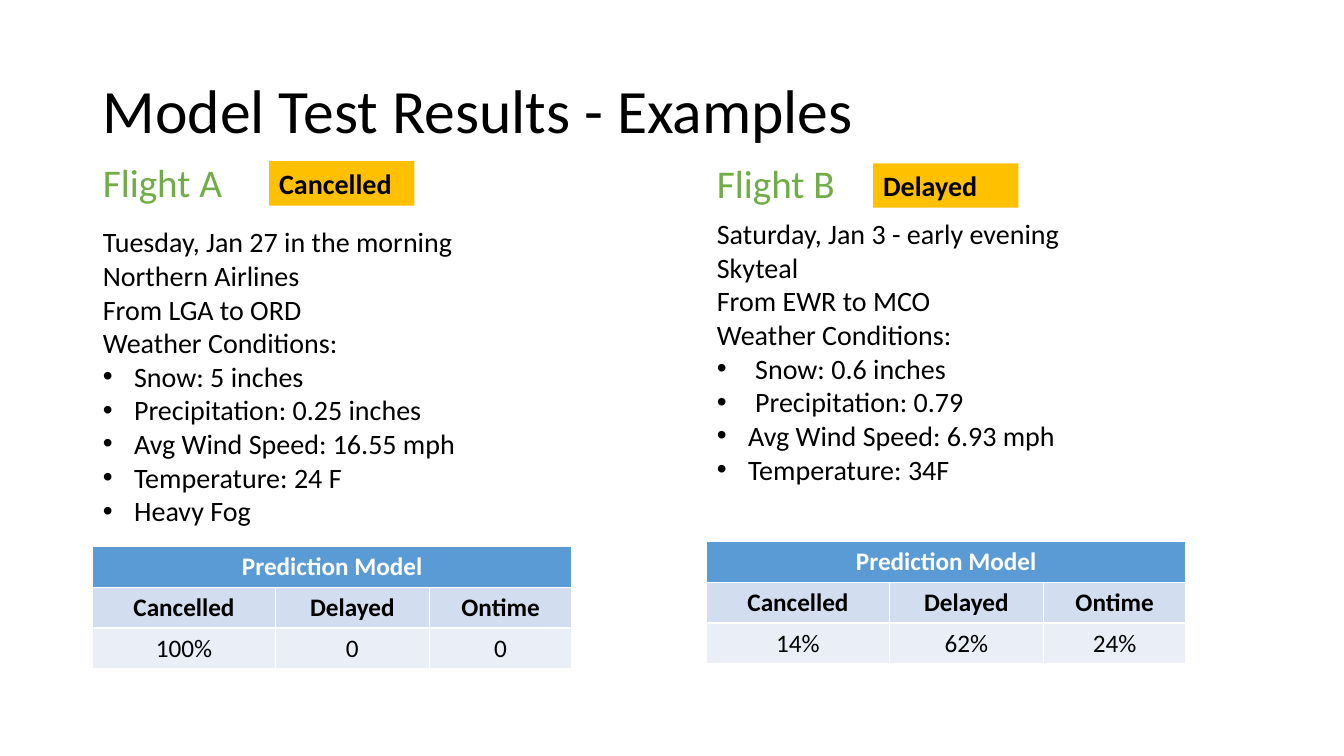
from dataclasses import dataclass

import pptx
import pptx.dml.color
import pptx.enum.shapes
import pptx.enum.text
import pptx.oxml.ns
import pptx.util
from lxml import etree

PX = 9144  # 100 px to the inch
FONT = "Calibri"
COLORS = {
    "black": "000000", "white": "FFFFFF", "green": "70AD47", "amber": "FFC000",
    "header": "5B9BD5", "labels": "D2DEEF", "values": "EAEFF7",
}
COLUMN_WIDTHS = (181, 153, 141)
ROW_HEIGHT = 40
LABELS = ("Cancelled", "Delayed", "Ontime")
LEFT, TOP = pptx.enum.text.PP_ALIGN.LEFT, pptx.enum.text.MSO_ANCHOR.TOP
CENTER, MIDDLE = pptx.enum.text.PP_ALIGN.CENTER, pptx.enum.text.MSO_ANCHOR.MIDDLE


@dataclass(frozen=True)
class Box:
    left: int
    top: int
    width: int
    height: int

    def emu(self) -> list[int]:
        return [side * PX for side in (self.left, self.top, self.width, self.height)]


@dataclass(frozen=True)
class Line:
    text: str
    indent: int = 0  # a bullet hangs in any indent above zero


@dataclass(frozen=True)
class Flight:
    name: str
    outcome: str
    heading_box: Box
    badge_box: Box
    details_box: Box
    table_box: Box
    details: tuple[Line, ...]
    chances: tuple[str, str, str]


FLIGHTS = (
    Flight(
        "Flight A", "Cancelled",
        Box(92, 152, 406, 57), Box(267, 160, 144, 44),
        Box(92, 218, 434, 313), Box(92, 542, 475, 120),
        (
            Line("Tuesday, Jan 27 in the morning"),
            Line("Northern Airlines"),
            Line("From LGA to ORD"),
            Line("Weather Conditions:"),
            Line("Snow: 5 inches", 31),
            Line("Precipitation: 0.25 inches", 31),
            Line("Avg Wind Speed: 16.55 mph", 31),
            Line("Temperature: 24 F", 31),
            Line("Heavy Fog", 31),
        ),
        ("100%", "0", "0"),
    ),
    Flight(
        "Flight B", "Delayed",
        Box(701, 153, 422, 57), Box(866, 162, 144, 44),
        Box(701, 210, 582, 279), Box(701, 537, 475, 120),
        (
            Line("Saturday, Jan 3 - early evening"),
            Line("Skyteal"),
            Line("From EWR to MCO"),
            Line("Weather Conditions:"),
            Line("Snow: 0.6 inches", 38),
            Line("Precipitation: 0.79", 38),
            Line("Avg Wind Speed: 6.93 mph", 31),
            Line("Temperature: 34F", 31),
        ),
        ("14%", "62%", "24%"),
    ),
)


def rgb(name: str) -> pptx.dml.color.RGBColor:
    return pptx.dml.color.RGBColor.from_string(COLORS[name])


def style(para, size: int, color: str, bold: bool = False, align=LEFT) -> None:
    para.alignment = align
    para.space_before = pptx.util.Pt(0)
    para.font.name = FONT
    para.font.size = pptx.util.Pt(size)
    para.font.bold = bold
    para.font.color.rgb = rgb(color)


def set_bullet(para, indent: int) -> None:
    properties = para._p.get_or_add_pPr()
    properties.set("marL", str(indent * PX))
    properties.set("indent", str(-indent * PX))
    if indent:
        font = etree.SubElement(properties, pptx.oxml.ns.qn("a:buFont"))
        font.set("typeface", "Arial")
        mark = etree.SubElement(properties, pptx.oxml.ns.qn("a:buChar"))
        mark.set("char", "•")
    else:
        etree.SubElement(properties, pptx.oxml.ns.qn("a:buNone"))


def fill_placeholder(holder, box: Box, lines: tuple[Line, ...], size: int,
                     color: str, anchor=TOP) -> None:
    holder.left, holder.top, holder.width, holder.height = box.emu()
    frame = holder.text_frame
    frame.auto_size = pptx.enum.text.MSO_AUTO_SIZE.NONE
    frame.word_wrap = True
    frame.vertical_anchor = anchor
    for number, line in enumerate(lines):
        para = frame.add_paragraph() if number else frame.paragraphs[0]
        para.text = line.text
        set_bullet(para, line.indent)
        style(para, size, color)


def add_badge(page, box: Box, text: str) -> None:
    badge = page.shapes.add_shape(pptx.enum.shapes.MSO_SHAPE.RECTANGLE, *box.emu())
    badge.shadow.inherit = False
    badge.fill.solid()
    badge.fill.fore_color.rgb = rgb("amber")
    badge.line.fill.background()
    badge.text_frame.vertical_anchor = TOP
    para = badge.text_frame.paragraphs[0]
    para.text = text
    style(para, 20, "black", bold=True)


def fill_cell(cell, text: str, fill: str, color: str, bold: bool) -> None:
    cell.fill.solid()
    cell.fill.fore_color.rgb = rgb(fill)
    cell.vertical_anchor = MIDDLE
    cell.margin_left = cell.margin_right = 7 * PX
    para = cell.text_frame.paragraphs[0]
    para.text = text
    style(para, 18, color, bold, CENTER)


def add_prediction(page, box: Box, chances: tuple[str, str, str]) -> None:
    # The default table style draws the white rules
    table = page.shapes.add_table(3, len(LABELS), *box.emu()).table
    for column, width in zip(table.columns, COLUMN_WIDTHS):
        column.width = width * PX
    for row in table.rows:
        row.height = ROW_HEIGHT * PX
    table.cell(0, 0).merge(table.cell(0, len(LABELS) - 1))
    fill_cell(table.cell(0, 0), "Prediction Model", "header", "white", True)
    for number, (label, chance) in enumerate(zip(LABELS, chances)):
        fill_cell(table.cell(1, number), label, "labels", "black", True)
        fill_cell(table.cell(2, number), chance, "values", "black", False)


def main() -> None:
    deck = pptx.Presentation()
    deck.slide_width, deck.slide_height = 1333 * PX, 750 * PX
    page = deck.slides.add_slide(deck.slide_layouts.get_by_name("Comparison"))
    title, *holders = page.placeholders

    # Title
    fill_placeholder(title, Box(92, 40, 1150, 145),
                     (Line("Model Test Results - Examples"),), 44, "black", MIDDLE)
    title.text_frame.paragraphs[0].line_spacing = 0.9

    # One column for each flight
    for flight, heading, details in zip(FLIGHTS, holders[::2], holders[1::2]):
        fill_placeholder(heading, flight.heading_box, (Line(flight.name),), 28, "green")
        fill_placeholder(details, flight.details_box, flight.details, 20, "black")
        add_prediction(page, flight.table_box, flight.chances)
        add_badge(page, flight.badge_box, flight.outcome)

    deck.save("out.pptx")


if __name__ == "__main__":
    main()
